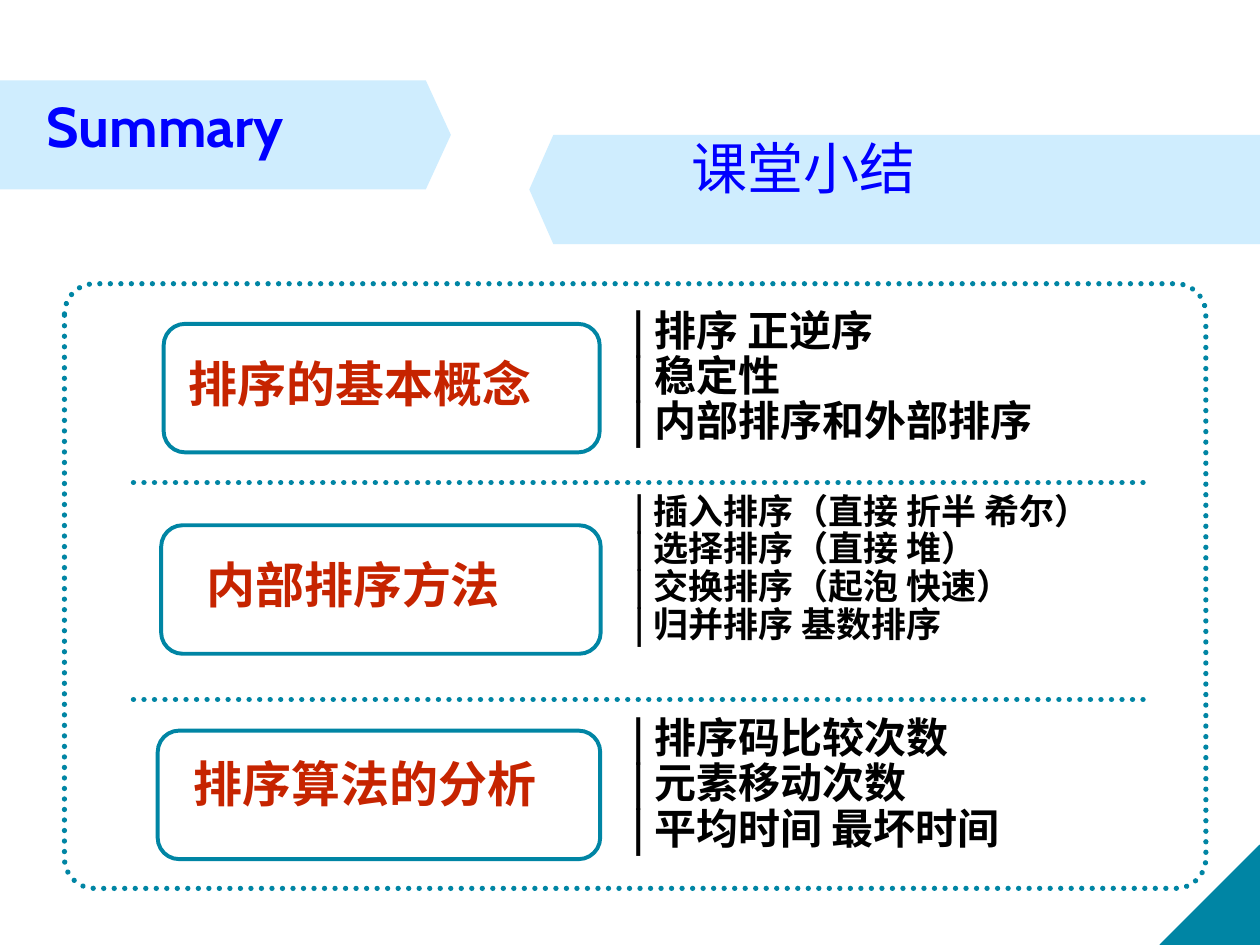
"""Build the class summary slide on sorting, with three topics and their key points."""
from lxml.etree import SubElement
from pptx import Presentation
from pptx.dml.color import RGBColor
from pptx.enum.dml import MSO_LINE
from pptx.enum.shapes import MSO_CONNECTOR, MSO_SHAPE
from pptx.oxml.ns import qn
from pptx.util import Cm, Pt

COLORS = {
    "band": "CFEDFE",
    "teal": "0085A4",
    "title": "0000FF",
    "topic": "C62400",
    "point": "000000",
}
CJK_FONT = "Noto Sans CJK SC"

TITLES = [
    dict(text="Summary", area=(0.69, 1.73, 8.81, 1.6), font="Cabin", bold=True, spacing=1.0),
    dict(text="课堂小结", area=(13.69, 2.72, 10.39, 1.6), font="Arial"),
]
SECTIONS = [
    dict(
        topic="排序的基本概念",
        frame=(3.3, 6.53, 8.79, 2.59),
        label=(1.7, 7.14, 13.21, 1.45),
        inset=2.11,
        points=["排序 正逆序", "稳定性", "内部排序和外部排序"],
        area=(12.5, 6.12, 9.8, 3.51),
        size=24,
    ),
    dict(
        topic="内部排序方法",
        frame=(3.25, 10.59, 8.86, 2.59),
        label=(1.9, 11.18, 11.99, 1.45),
        inset=2.26,
        points=["插入排序（直接 折半 希尔）", "选择排序（直接 堆）", "交换排序（起泡 快速）", "归并排序 基数排序"],
        area=(12.55, 9.83, 11.71, 3.89),
        size=20,
    ),
    dict(
        topic="排序算法的分析",
        frame=(3.18, 14.73, 8.92, 2.59),
        label=(2.11, 15.19, 11.81, 1.45),
        inset=1.8,
        points=["排序码比较次数", "元素移动次数", "平均时间 最坏时间"],
        area=(12.5, 14.33, 10.59, 3.51),
        size=24,
    ),
]
DIVIDER_TOPS = [9.73, 14.1]
DIVIDER_LEFT, DIVIDER_RIGHT = 2.69, 23.11


def color(name):
    return RGBColor.from_string(COLORS[name])


def style_line(shape, width, dotted=False):
    shape.line.color.rgb = color("teal")
    shape.line.width = Pt(width)
    if dotted:
        shape.line.dash_style = MSO_LINE.ROUND_DOT
        shape._element.spPr.find(qn("a:ln")).set("cap", "rnd")


def add_shape(page, kind, area, fill=None, width=None, dotted=False, adjust=None):
    shape = page.shapes.add_shape(kind, *map(Cm, area))
    shape.shadow.inherit = False
    if fill:
        shape.fill.solid()
        shape.fill.fore_color.rgb = color(fill)
    else:
        shape.fill.background()
    if width:
        style_line(shape, width, dotted)
    else:
        shape.line.fill.background()
    if adjust is not None:
        shape.adjustments[0] = adjust
    return shape


def add_divider(page, top):
    divider = page.shapes.add_connector(
        MSO_CONNECTOR.STRAIGHT, Cm(DIVIDER_LEFT), Cm(top), Cm(DIVIDER_RIGHT), Cm(top)
    )
    style_line(divider, 3, dotted=True)
    SubElement(divider._element.spPr, qn("a:effectLst"))


def add_text(page, text, area, font, size=32, fill="title", bold=False, spacing=0.9, inset=0.25):
    box = page.shapes.add_textbox(*map(Cm, area))
    frame = box.text_frame
    frame.word_wrap = True
    frame.margin_left = Cm(inset)
    frame.text = text
    for paragraph in frame.paragraphs:
        paragraph.line_spacing = spacing
        for span in paragraph.runs:
            span.font.size = Pt(size)
            span.font.bold = bold
            span.font.color.rgb = color(fill)
            span.font.name = font
            SubElement(span._r.get_or_add_rPr(), qn("a:ea"), typeface=CJK_FONT)


def main():
    deck = Presentation()
    deck.slide_width, deck.slide_height = Cm(25.4), Cm(19.05)
    page = deck.slides.add_slide(deck.slide_layouts[6])

    add_shape(page, MSO_SHAPE.PENTAGON, (0, 1.62, 9.09, 2.2), fill="band", adjust=0.23)
    right_band = add_shape(page, MSO_SHAPE.PENTAGON, (10.67, 2.72, 14.73, 2.2), fill="band", adjust=0.22)
    right_band.rotation = 180
    corner = add_shape(page, MSO_SHAPE.RIGHT_TRIANGLE, (23.39, 17.04, 2.01, 2.01), fill="teal", width=0.75)
    corner._element.spPr.xfrm.set("flipH", "1")

    for title in TITLES:
        add_text(page, **title)
    for top in DIVIDER_TOPS:
        add_divider(page, top)
    add_shape(
        page, MSO_SHAPE.ROUNDED_RECTANGLE, (1.3, 5.72, 23.01, 12.19), width=3, dotted=True, adjust=0.05
    )

    for section in SECTIONS:
        add_shape(page, MSO_SHAPE.FLOWCHART_ALTERNATE_PROCESS, section["frame"], width=2.25)
        add_text(
            page, section["topic"], section["label"], font="Arial",
            size=28, fill="topic", bold=True, inset=section["inset"],
        )
        add_text(
            page, "\n".join(f"| {point}" for point in section["points"]), section["area"],
            font=CJK_FONT, size=section["size"], fill="point", bold=True,
        )

    deck.save("out.pptx")


if __name__ == "__main__":
    main()
